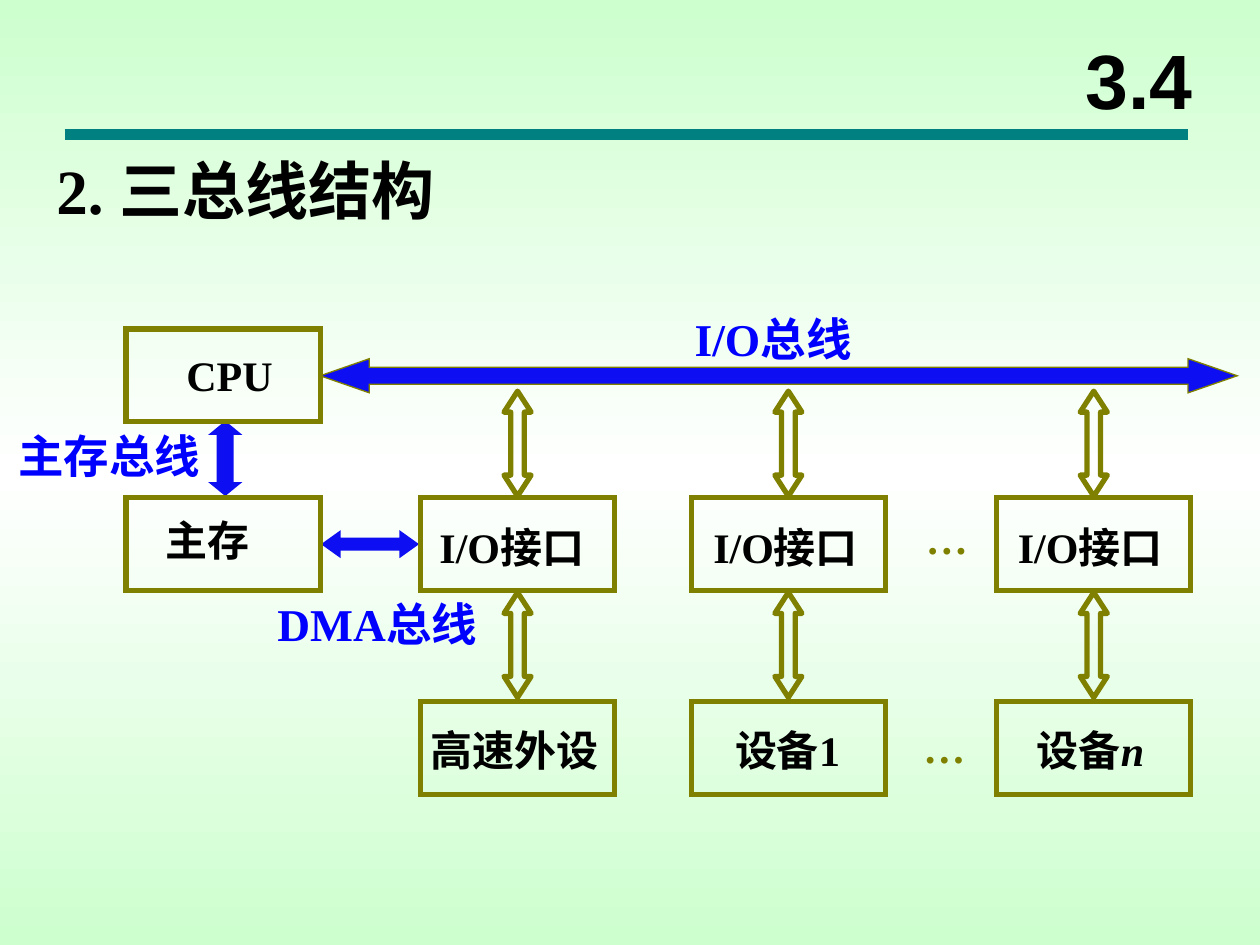
from copy import deepcopy

from lxml.etree import SubElement
from pptx import Presentation
from pptx.dml.color import RGBColor
from pptx.enum.shapes import MSO_CONNECTOR, MSO_SHAPE
from pptx.enum.text import MSO_ANCHOR, MSO_AUTO_SIZE, PP_ALIGN
from pptx.oxml.ns import qn
from pptx.util import Pt

# Content: words and their places
TITLE = ("3.4", (606, 12, 90, 66))
HEAD = ("2. 三总线结构", (25, 83, 612, 54))

OLIVE, BLUE, INK, TEAL = "808000", "0E0EF2", "0000FF", "008080"
SERIF, SANS, HAN = "Times New Roman", "Arial", "Noto Sans CJK SC"

FLAT = [  # horizontal buses: arrow box, adjustments, edge
    ((183.5, 303, 56, 16), (0.47, 0.7), 0),
    ((183, 205, 524, 19.5), (0.5, 1.44), 0.75),
]
TALL = (119, 240.5, 19.5, 43)  # memory bus
NAMES = [  # bus name, label box
    ("主存总线", (10.5, 244.5, 108, 31)),
    ("DMA总线", (158.5, 340.5, 134, 31)),
    ("I/O总线", (397, 178, 116, 31)),
]
CORE = [  # name, top of block, label box
    ("CPU", 188, (106.5, 199.5, 74, 29)),
    ("主存", 284.5, (94.5, 294, 88, 29)),
]
PORTS = [  # left, port label left, device, italic tail, device label left
    (240.25, 244, "高速外设", "", 246),
    (395, 400.5, "设备1", "", 420),
    (569.5, 574.5, "设备", "n", 592.5),
]
DOTS = [(520.5, 409), (522, 289.5)]

# Grid
WIDE, HIGH = 111, 53
PORT_Y, UNIT_Y = 284.5, 401
LINK_W, LINK_H = 15.5, 60
LINK_Y = (223.5, 338.5)


def tint(code):
    return RGBColor.from_string(code)


def pts(box):
    return [Pt(v) for v in box]


def write(frame, text, size=24, color="000000", font=SERIF, han=HAN,
          tail="", inset=True, fit=True):
    frame.word_wrap = True
    frame.auto_size = (MSO_AUTO_SIZE.SHAPE_TO_FIT_TEXT if fit
                       else MSO_AUTO_SIZE.NONE)
    frame.margin_left = frame.margin_right = Pt(7.2 if inset else 0)
    frame.margin_top = frame.margin_bottom = Pt(3.6 if inset else 0)
    para = frame.paragraphs[0]
    for part, slant in ((text, False), (tail, True)):
        if not part:
            continue
        run = para.add_run()
        run.text = part
        face = run.font
        face.name, face.size, face.bold = font, Pt(size), True
        face.color.rgb = tint(color)
        if slant:
            face.italic = True
        SubElement(run._r.get_or_add_rPr(), qn("a:ea"), typeface=han)
    return para


def label(box, text, **form):
    return write(slide.shapes.add_textbox(*pts(box)).text_frame, text, **form)


def paint(shape, fill=None, edge=3, join="miter"):
    shape.shadow.inherit = False
    if fill:
        shape.fill.solid()
        shape.fill.fore_color.rgb = tint(fill)
    else:
        shape.fill.background()
    if edge:
        shape.line.color.rgb = tint(OLIVE)
        shape.line.width = Pt(edge)
        SubElement(shape._element.spPr.find(qn("a:ln")), qn("a:" + join))
    else:
        shape.line.fill.background()


def block(left, top):
    box = pts((left, top, WIDE, HIGH))
    paint(slide.shapes.add_shape(MSO_SHAPE.RECTANGLE, *box))


def spike(box, tip, **look):
    """Upright two-headed arrow whose shaft is half its width."""
    x, y, w, h = box
    mid, near, far = x + w / 2, x + w / 4, x + w * 3 / 4
    top, low = y + tip, y + h - tip
    dots = [(mid, y), (x + w, top), (far, top), (far, low), (x + w, low),
            (mid, y + h), (x, low), (near, low), (near, top), (x, top)]
    first, *rest = [tuple(pts(dot)) for dot in dots]
    path = slide.shapes.build_freeform(*first)
    path.add_line_segments(rest, close=True)
    paint(path.convert_to_shape(), **look)


def place(holder, box):
    holder.left, holder.top, holder.width, holder.height = pts(box)
    return holder.text_frame


deck = Presentation()
deck.slide_width, deck.slide_height = Pt(720), Pt(540)
slide = deck.slides.add_slide(deck.slide_layouts[1])

# Background: green, white, green from top to bottom
back = slide.background.fill
back.gradient()
back.gradient_angle = 270
stops = back._fill._gradFill.gsLst
stops.append(deepcopy(stops[0]))
for stop, (pos, code) in zip(back.gradient_stops, (
        (0, "CDFFCE"), (0.5, "FFFFFF"), (1, "CDFFCE"))):
    stop.position = pos
    stop.color.rgb = tint(code)

# Title, rule and heading
frame = place(slide.shapes.title, TITLE[1])
frame.vertical_anchor = MSO_ANCHOR.MIDDLE
write(frame, TITLE[0], size=44, font=SANS, fit=False).alignment = PP_ALIGN.CENTER

rule = slide.shapes.add_connector(MSO_CONNECTOR.STRAIGHT, *pts((37, 77, 679, 77)))
rule.line.color.rgb = tint(TEAL)
rule.line.width = Pt(6)
SubElement(rule._element.spPr, qn("a:effectLst"))

para = write(place(slide.placeholders[1], HEAD[1]), HEAD[0], size=36, fit=False)
para.space_before = Pt(0)
props = para._p.get_or_add_pPr()
props.set("marL", str(Pt(27)))
props.set("indent", str(Pt(-27)))
SubElement(props, qn("a:buNone"))

# Buses and their names
spike(TALL, 8, fill=BLUE, edge=0)
for box, adj, edge in FLAT:
    shape = slide.shapes.add_shape(MSO_SHAPE.LEFT_RIGHT_ARROW, *pts(box))
    shape.adjustments[0], shape.adjustments[1] = adj
    paint(shape, fill=BLUE, edge=edge)
for name, spot in NAMES:
    label(spot, name, size=26, color=INK, inset=False)

# Processor and memory
for name, top, spot in CORE:
    block(72, top)
    label(spot, name, inset=False)

# Ports with their devices and links
for left, port_x, unit, tail, unit_x in PORTS:
    for top in (PORT_Y, UNIT_Y):
        block(left, top)
    for top in LINK_Y:
        spike((left + (WIDE - LINK_W) / 2, top, LINK_W, LINK_H), 12, join="round")
    label((port_x, PORT_Y + 10, 120, 36), "I/O接口")
    label((unit_x, UNIT_Y + 13, 126, 29), unit, tail=tail, inset=False)

# Dots between the last two columns
for spot in DOTS:
    label((*spot, 40, 36), "…", color=OLIVE, han=SERIF)

deck.save("out.pptx")
